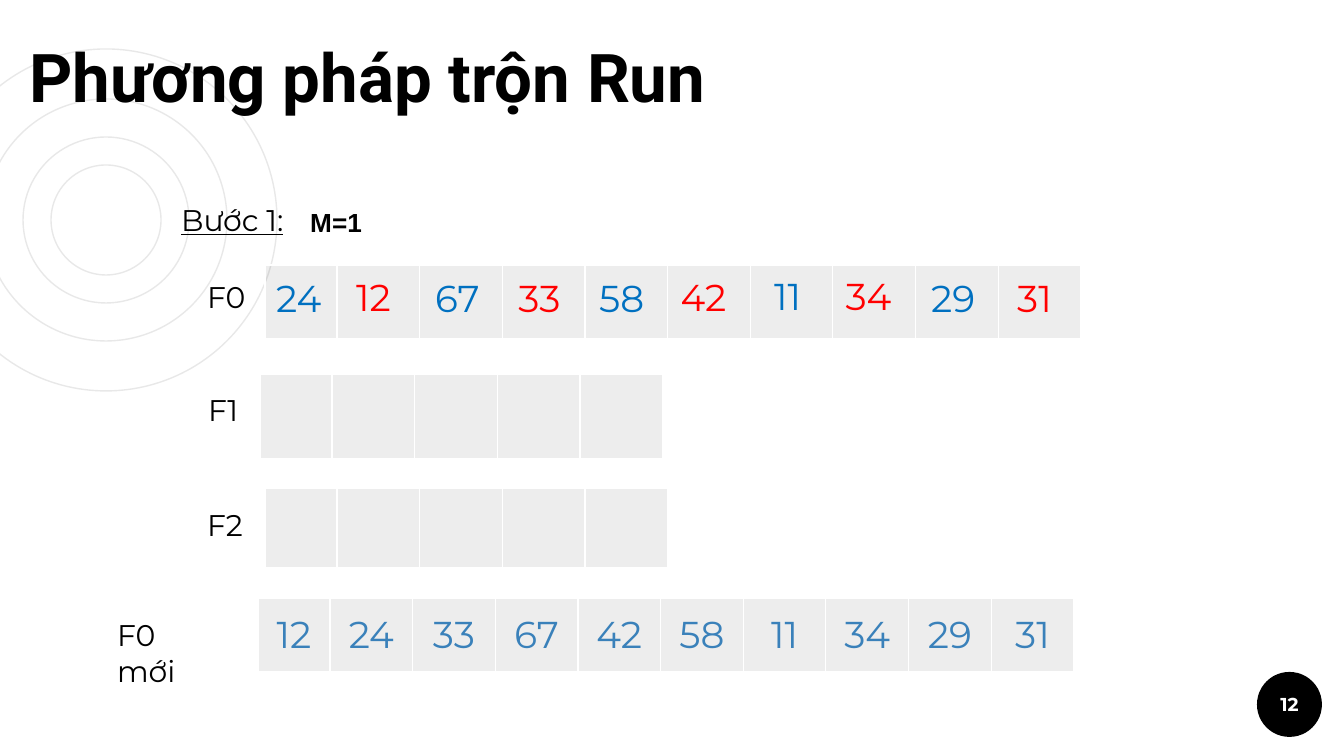
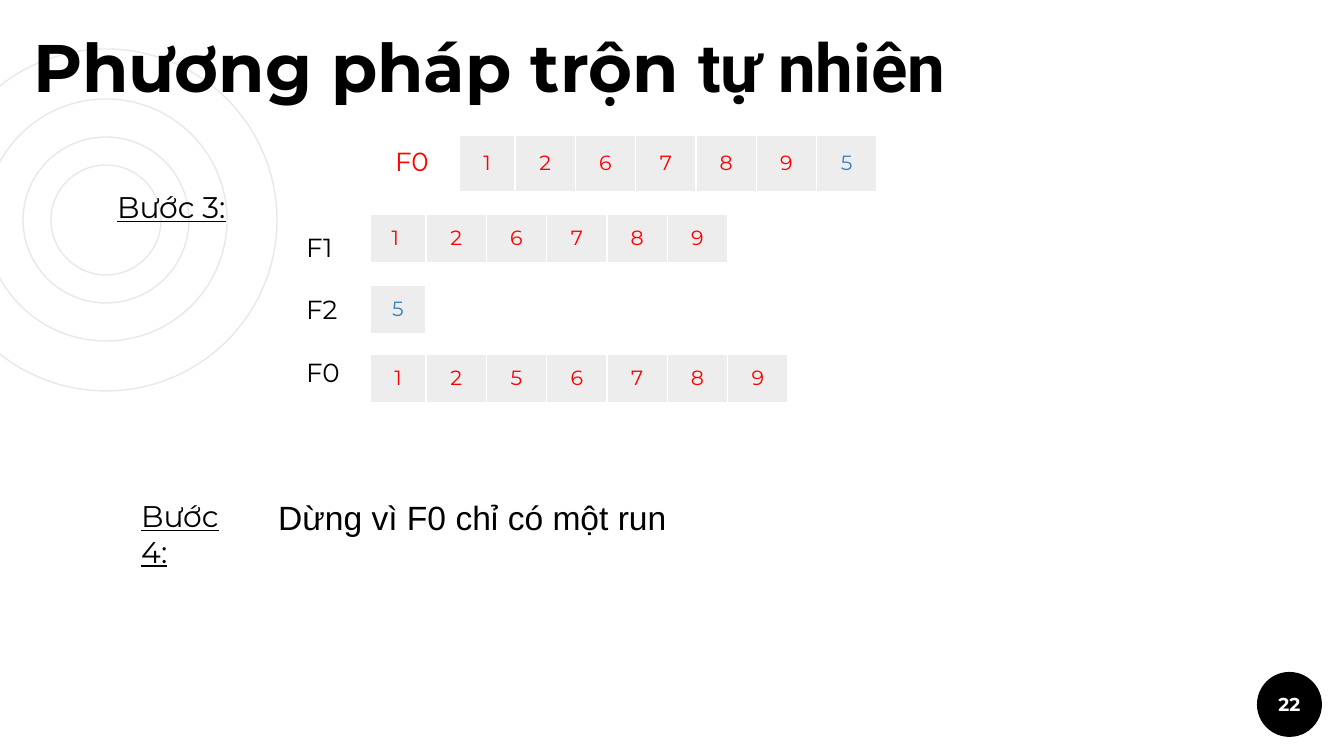
from lxml.etree import SubElement
from pptx import Presentation
from pptx.dml.color import RGBColor as Rgb
from pptx.enum.shapes import MSO_SHAPE as Shape
from pptx.enum.text import MSO_ANCHOR as Anchor, MSO_AUTO_SIZE as AutoSize, PP_ALIGN as Align
from pptx.oxml import parse_xml
from pptx.oxml.ns import nsdecls, qn
from pptx.util import Pt

SCALE = 914400 / 134.4  # EMU per pixel
COLORS = {
    "ink": "000000", "paper": "FFFFFF", "ring": "E8E8E8",
    "red": "FF0000", "blue": "0070C0", "steel": "3A81BA",
}
CELL_OPACITY = 7000  # thousandths of a percent
BODY, PLAIN, HEAVY = "Montserrat", "Arial", "Roboto"

# Text formats
LABEL = {"name": BODY, "size": 16, "color": "ink"}
STEP = {**LABEL, "underline": True}
SMALL_LABEL = {**LABEL, "size": 14}
TITLE = {"name": BODY, "size": 36, "color": "ink", "bold": True}
NUMBER = {"name": BODY, "size": 10, "color": "paper", "bold": True}
BIG_VALUE = {"name": BODY, "size": 20, "color": "steel"}
SMALL_VALUE = {"name": BODY, "size": 11, "color": "red"}

# Column widths: a narrower first column, then equal ones
BIG_COLUMNS = (72, 744 / 9)
SMALL_COLUMNS = (56, 362 / 6)


def write(frame, spans, align=Align.LEFT):
    """Fill the first paragraph with (text, format) spans."""
    para = frame.paragraphs[0]
    para.alignment = align
    for text, look in spans:
        span = para.add_run()
        span.text = text
        for key, value in look.items():
            if key == "color":
                span.font.color.rgb = Rgb.from_string(COLORS[value])
            else:
                setattr(span.font, key, Pt(value) if key == "size" else value)


def add_cells(page, left, top, height, columns, values, look, odd_ones):
    """Draw a one-row table; odd_ones gives other colours by value."""
    first, pitch = columns
    widths = [first] + [pitch] * (len(values) - 1)
    area = [round(n * SCALE) for n in (left, top, sum(widths), height)]
    table = page.shapes.add_table(1, len(values), *area).table
    table.first_row = table.horz_banding = False
    for column, width in zip(table.columns, widths):
        column.width = round(width * SCALE)
    for cell, value in zip(table.rows[0].cells, values):
        cell.fill.solid()
        cell.fill.fore_color.rgb = Rgb.from_string(COLORS["ink"])
        cell.vertical_anchor = Anchor.MIDDLE
        cell.margin_top = cell.margin_bottom = round(9 * SCALE)
        cell.margin_left = cell.margin_right = round(13 * SCALE)
        props = cell._tc.get_or_add_tcPr()
        tint = props.find(".//" + qn("a:srgbClr"))
        SubElement(tint, qn("a:alpha")).set("val", str(CELL_OPACITY))
        for place, side in enumerate("LRTB"):
            props.insert(place, parse_xml(
                f'<a:ln{side} {nsdecls("a")} w="9525"><a:solidFill>'
                f'<a:srgbClr val="{COLORS["paper"]}"/></a:solidFill></a:ln{side}>'))
        if value:
            color = odd_ones.get(value, look["color"])
            write(cell.text_frame, [(value, {**look, "color": color})], Align.CENTER)


# Content: labels are (area, spans), rows are (left, top, height, columns, values, look, odd ones)
run_merge = {
    "number": "12",
    "title": ((16, 28, 848, 101), [("Phương pháp trộn Run", {**TITLE, "name": HEAVY})]),
    "labels": [
        ((168, 195, 131, 50), [("Bước 1:", STEP)]),
        ((297, 200, 79, 77), [("M=1", {**SMALL_LABEL, "name": PLAIN, "bold": True})]),
        ((194, 272, 67, 50), [("F0", LABEL)]),
        ((195, 385, 129, 50), [("F1", LABEL)]),
        ((194, 500, 129, 50), [("F2", LABEL)]),
        ((104, 610, 129, 50), [("F0 mới", LABEL)]),
    ],
    "rows": [
        (265, 265, 74, BIG_COLUMNS, [""] * 10, BIG_VALUE, {}),
        (260, 374, 85, BIG_COLUMNS, [""] * 5, BIG_VALUE, {}),
        (265, 488, 80, BIG_COLUMNS, [""] * 5, BIG_VALUE, {}),
        (258, 598, 74, BIG_COLUMNS,
         "12 24 33 67 42 58 11 34 29 31".split(), BIG_VALUE, {}),
    ],
    # Movable values over the first row: text, left, top, width
    "values": [
        ("24", 263, 269, 77), ("12", 335, 268, 77), ("67", 422, 269, 102),
        ("33", 501, 269, 77), ("58", 586, 269, 77), ("42", 665, 268, 77),
        ("11", 761, 267, 65), ("34", 825, 267, 87), ("29", 918, 269, 77),
        ("31", 996, 269, 77),
    ],
}
natural_merge = {
    "number": "22",
    "title": ((20, 18, 1073, 101), [("Phương pháp trộn ", TITLE),
                                    ("tự nhiên", {**TITLE, "name": HEAVY})]),
    "labels": [
        ((104, 182, 139, 50), [("Bước 3:", STEP)]),
        ((382, 139, 129, 46), [("F0", {**SMALL_LABEL, "color": "red"})]),
        ((293, 221, 129, 50), [("F1", SMALL_LABEL), (" ", LABEL)]),
        ((293, 287, 129, 46), [("F2", SMALL_LABEL)]),
        ((293, 350, 129, 46), [("F0", SMALL_LABEL)]),
        ((128, 491, 135, 50), [("Bước 4:", STEP)]),
        ((265, 490, 532, 54), [("Dừng vì F0 chỉ có một run",
                                {**LABEL, "name": PLAIN, "size": 18})]),
    ],
    "rows": [
        (459, 135, 57, SMALL_COLUMNS, list("1267895"), SMALL_VALUE, {"5": "steel"}),
        (370, 214, 49, SMALL_COLUMNS, ["1 "] + list("26789"), SMALL_VALUE, {}),
        (370, 285, 49, SMALL_COLUMNS, ["5"], SMALL_VALUE, {"5": "steel"}),
        (370, 354, 49, SMALL_COLUMNS, list("1256789"), SMALL_VALUE, {}),
    ],
    "values": [],
}

deck = Presentation()
deck.slide_width, deck.slide_height = round(1344 * SCALE), round(756 * SCALE)

for content in (run_merge, natural_merge):
    page = deck.slides.add_slide(deck.slide_layouts[6])
    page.background.fill.solid()
    page.background.fill.fore_color.rgb = Rgb.from_string(COLORS["paper"])

    # Concentric rings
    for size in (342, 166, 242, 110):
        area = [round(n * SCALE) for n in (106 - size / 2, 220 - size / 2, size, size)]
        ring = page.shapes.add_shape(Shape.OVAL, *area)
        ring.shadow.inherit = False
        ring.fill.background()
        ring.line.color.rgb = Rgb.from_string(COLORS["ring"])
        ring.line.width = Pt(0.75)

    # Page number badge
    badge = page.shapes.add_shape(
        Shape.OVAL, *[round(n * SCALE) for n in (1257, 672, 65, 65)])
    badge.shadow.inherit = False
    badge.fill.solid()
    badge.fill.fore_color.rgb = Rgb.from_string(COLORS["ink"])
    badge.line.fill.background()
    frame = badge.text_frame
    frame.vertical_anchor = Anchor.MIDDLE
    frame.margin_left = frame.margin_right = 0
    write(frame, [(content["number"], NUMBER)], Align.CENTER)

    # Tables
    for row in content["rows"]:
        add_cells(page, *row)

    # Title
    area, spans = content["title"]
    box = page.shapes.add_textbox(*[round(n * SCALE) for n in area])
    frame = box.text_frame
    frame.word_wrap = True
    frame.vertical_anchor = Anchor.BOTTOM
    frame.margin_top = frame.margin_bottom = round(13 * SCALE)
    write(frame, spans)

    # Labels, then loose values in alternating colours
    texts = [(area, spans, Align.LEFT) for area, spans in content["labels"]]
    for index, (text, left, top, width) in enumerate(content["values"]):
        color, align = (("blue", Align.LEFT), ("red", Align.CENTER))[index % 2]
        texts.append(((left, top, width, 59), [(text, {**BIG_VALUE, "color": color})], align))
    for area, spans, align in texts:
        box = page.shapes.add_textbox(*[round(n * SCALE) for n in area])
        box.text_frame.word_wrap = spans[0][0] != "M=1"
        box.text_frame.auto_size = AutoSize.SHAPE_TO_FIT_TEXT
        write(box.text_frame, spans, align)

deck.save("out.pptx")
